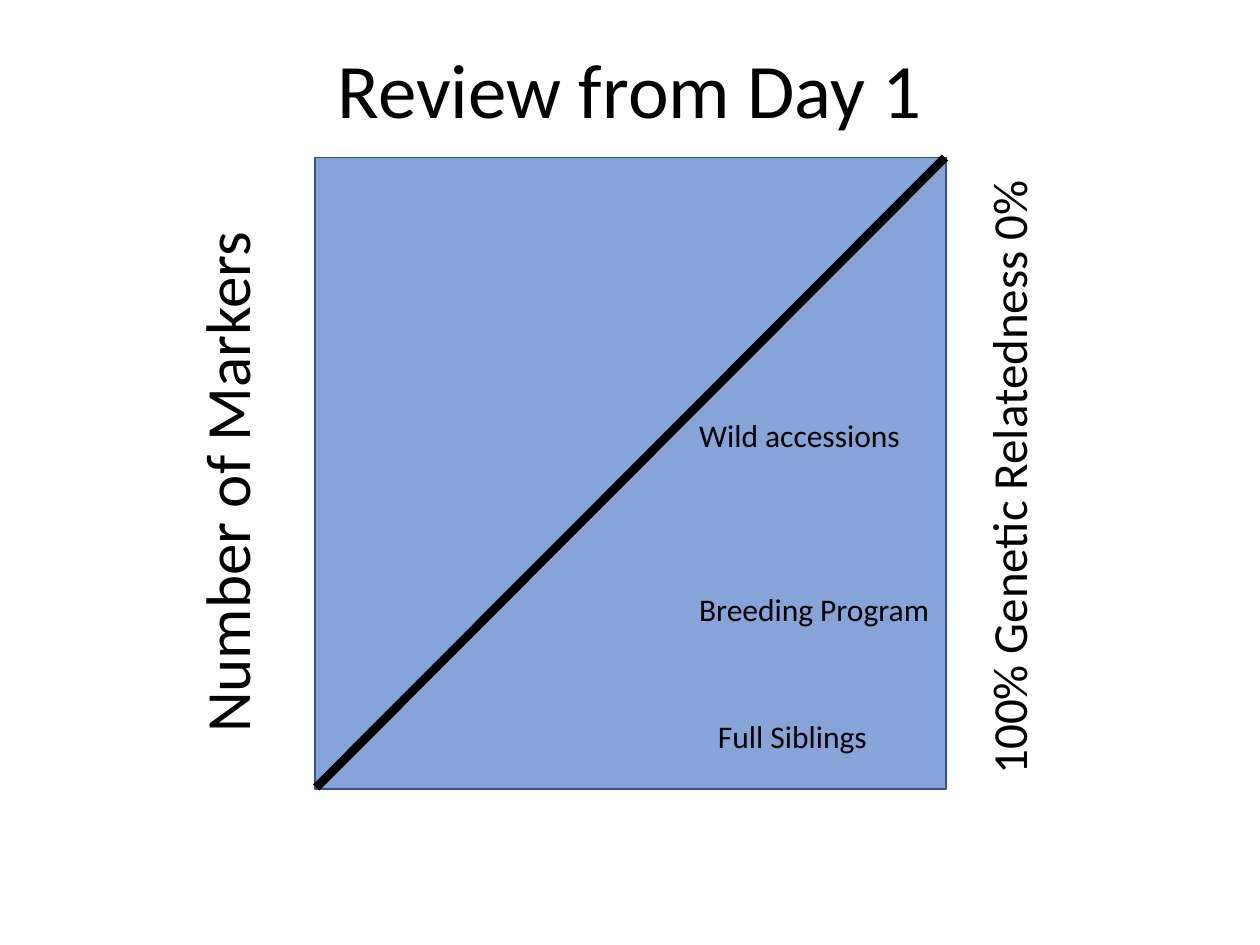
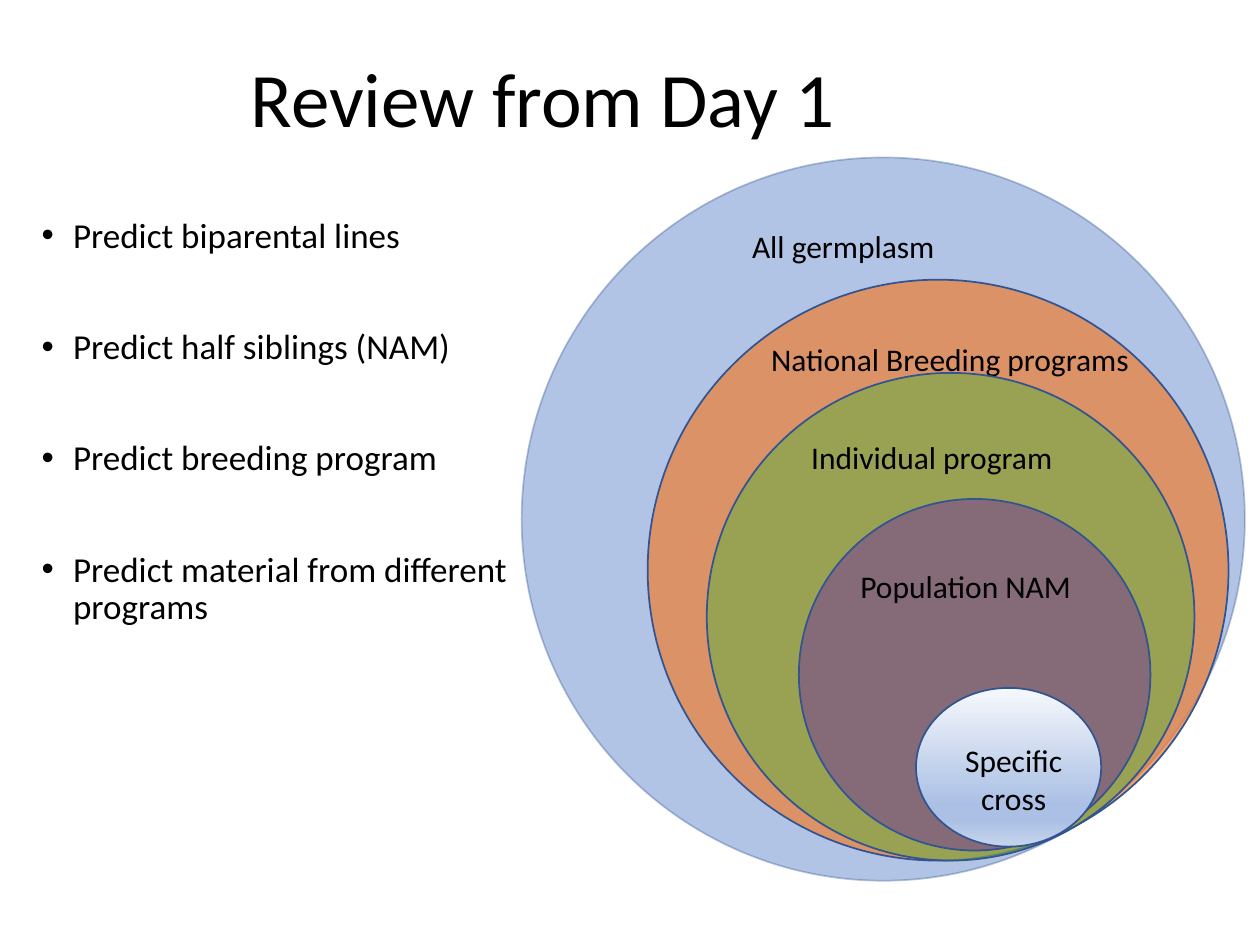
from pptx import Presentation
from pptx.dml.color import RGBColor
from pptx.enum.shapes import MSO_CONNECTOR, MSO_SHAPE
from pptx.enum.text import MSO_ANCHOR, MSO_AUTO_SIZE, PP_ALIGN
from pptx.oxml.ns import qn
from pptx.util import Inches, Pt
from lxml import etree

RECTANGLE, OVAL = MSO_SHAPE.RECTANGLE, MSO_SHAPE.OVAL
STRAIGHT = MSO_CONNECTOR.STRAIGHT
LEFT, CENTER = PP_ALIGN.LEFT, PP_ALIGN.CENTER
TOP, MIDDLE = MSO_ANCHOR.TOP, MSO_ANCHOR.MIDDLE
NO_AUTOFIT = MSO_AUTO_SIZE.NONE
TITLE_AND_CONTENT, TITLE_ONLY = 1, 5
FONT = "Calibri"
TITLE = "Review from Day 1"
COLORS = {
    "text": "000000", "outline": "325491", "blue": "4472C4",
    "orange": "ED7D31", "green": "70AD47", "purple": "7030A0",
    "pale": "F6F8FC", "sky": "ABC0E4", "mist": "C7D5ED",
}


def color(name):
    """Return the named palette colour."""
    return RGBColor.from_string(COLORS[name])


def place(shape, box):
    """Move and size a shape to a box in inches."""
    shape.left, shape.top, shape.width, shape.height = map(Inches, box)


def write(paragraph, text, size, align=LEFT):
    """Add one formatted run to a paragraph."""
    paragraph.alignment = align
    run = paragraph.add_run()
    run.text = text
    run.font.name = FONT
    run.font.size = Pt(size)
    run.font.color.rgb = color("text")


def add_label(shapes, box, text, size=18, align=LEFT, rotation=0):
    """Add a text box with one label."""
    label = shapes.add_textbox(*map(Inches, box))
    label.rotation = rotation
    label.text_frame.word_wrap = True
    write(label.text_frame.paragraphs[0], text, size, align)


def set_opacity(shape, query, percent):
    """Make the solid colour found by the query translucent."""
    for node in shape.element.xpath(query):
        etree.SubElement(node, qn("a:alpha")).set("val", str(percent * 1000))


def add_panel(shapes, kind, box, fill, opacity):
    """Add a translucent outlined shape."""
    shape = shapes.add_shape(kind, *map(Inches, box))
    shape.shadow.inherit = False
    shape.fill.solid()
    shape.fill.fore_color.rgb = color(fill)
    set_opacity(shape, "./p:spPr/a:solidFill/a:srgbClr", opacity)
    shape.line.color.rgb = color("outline")
    shape.line.width = Pt(1)
    return shape


def set_gradient(shape, stops):
    """Fill a shape from top to bottom with the given stops."""
    shape.fill.gradient()
    shape.fill.gradient_angle = 270
    stop_list = shape.element.xpath("./p:spPr/a:gradFill/a:gsLst")[0]
    for old_stop in list(stop_list):
        stop_list.remove(old_stop)
    for position, name in stops:
        stop = etree.SubElement(stop_list, qn("a:gs"))
        stop.set("pos", str(position * 1000))
        etree.SubElement(stop, qn("a:srgbClr")).set("val", COLORS[name])


def add_titled_slide(presentation, layout, box):
    """Add a slide and format its title in the given box."""
    slide = presentation.slides.add_slide(presentation.slide_layouts[layout])
    title = slide.shapes.title
    place(title, box)
    frame = title.text_frame
    frame.auto_size = NO_AUTOFIT
    frame.vertical_anchor = MIDDLE
    frame.paragraphs[0].line_spacing = 0.9
    write(frame.paragraphs[0], TITLE, 44, CENTER)
    return slide


def add_marker_chart(slide, box):
    """Draw the square, its rising diagonal and the labels around it."""
    left, top, side, _ = box
    add_panel(slide.shapes, RECTANGLE, box, "blue", 64)
    diagonal = slide.shapes.add_connector(
        STRAIGHT, Inches(left + 0.01), Inches(top + side - 0.01),
        Inches(left + side - 0.01), Inches(top))
    diagonal.line.color.rgb = color("text")
    diagonal.line.width = Pt(5)
    etree.SubElement(diagonal.element.spPr, qn("a:effectLst"))
    axis_labels = [
        ("Number of Markers", 36, (-2.93, 2.09, 4.44, 0.71)),
        ("100% Genetic Relatedness 0%", 28, (2.95, 2.16, 5.1, 0.57)),
    ]
    for text, size, (x, y, width, height) in axis_labels:
        add_label(slide.shapes, (left + x, top + y, width, height),
                  text, size, rotation=270)
    populations = [
        ("Full Siblings", 3.1, 4.39, 1.56),
        ("Breeding Program", 2.95, 3.38, 2.08),
        ("Wild accessions", 2.95, 2.0, 2.05),
    ]
    for text, x, y, width in populations:
        add_label(slide.shapes, (left + x, top + y, width, 0.4), text)


def add_bullets(slide, box, items):
    """Fill the body placeholder with widely spaced bullets."""
    body = slide.placeholders[1]
    place(body, box)
    frame = body.text_frame
    frame.auto_size = NO_AUTOFIT
    frame.vertical_anchor = TOP
    for index, item in enumerate(items):
        paragraph = frame.add_paragraph() if index else frame.paragraphs[0]
        paragraph.line_spacing = 0.9
        paragraph.space_before = Pt(42 if index else 0)
        properties = paragraph._p.get_or_add_pPr()
        properties.set("marL", str(Inches(0.25)))
        properties.set("indent", str(Inches(-0.25)))
        write(paragraph, item, 20)


def add_nested_circles(slide, box):
    """Draw the nested germplasm circles from the outermost inwards."""
    left, top, _, _ = box
    shapes = slide.shapes.add_group_shape().shapes
    rings = [
        ("All germplasm", "blue", 41, (0, 0, 5.74, 5.74),
         (1.73, 0.5, 2.32, 0.47), LEFT),
        ("National Breeding programs", "orange", 70, (1, 0.97, 4.61, 4.61),
         (1.81, 1.4, 3.18, 0.86), CENTER),
        ("Individual program", "green", 62, (1.47, 1.71, 3.87, 3.87),
         (2.2, 2.18, 2.56, 0.45), LEFT),
        ("Population NAM", "purple", 48, (2.2, 2.71, 2.79, 2.79),
         (2.59, 3.2, 2.01, 0.4), LEFT),
        ("Specific cross", "sky", 100, (3.13, 4.21, 1.47, 1.26),
         (3.41, 4.58, 0.99, 0.71), CENTER),
    ]
    circles = []
    for text, fill, opacity, circle_box, label_box, align in rings:
        x, y, width, height = circle_box
        circles.append(add_panel(
            shapes, OVAL, (left + x, top + y, width, height), fill, opacity))
        x, y, width, height = label_box
        add_label(shapes, (left + x, top + y, width, height), text, align=align)
    set_opacity(circles[0], "./p:spPr/a:ln/a:solidFill/a:srgbClr", 35)
    set_gradient(circles[-1],
                 [(0, "pale"), (74, "sky"), (83, "sky"), (100, "mist")])


def main():
    """Build and save the two review slides."""
    presentation = Presentation()
    presentation.slide_width = Inches(10)
    presentation.slide_height = Inches(7.5)

    markers = add_titled_slide(presentation, TITLE_ONLY, (0.69, 0.02, 8.62, 1.45))
    add_marker_chart(markers, (2.5, 1.25, 5.01, 5.01))

    germplasm = add_titled_slide(
        presentation, TITLE_AND_CONTENT, (0, 0.09, 8.62, 1.45))
    add_bullets(germplasm, (0.23, 1.68, 3.97, 4.76), [
        "Predict biparental lines",
        "Predict half siblings (NAM)",
        "Predict breeding program",
        "Predict material from different programs",
    ])
    add_nested_circles(germplasm, (4.14, 1.25, 5.74, 5.74))

    presentation.save("out.pptx")


main()
